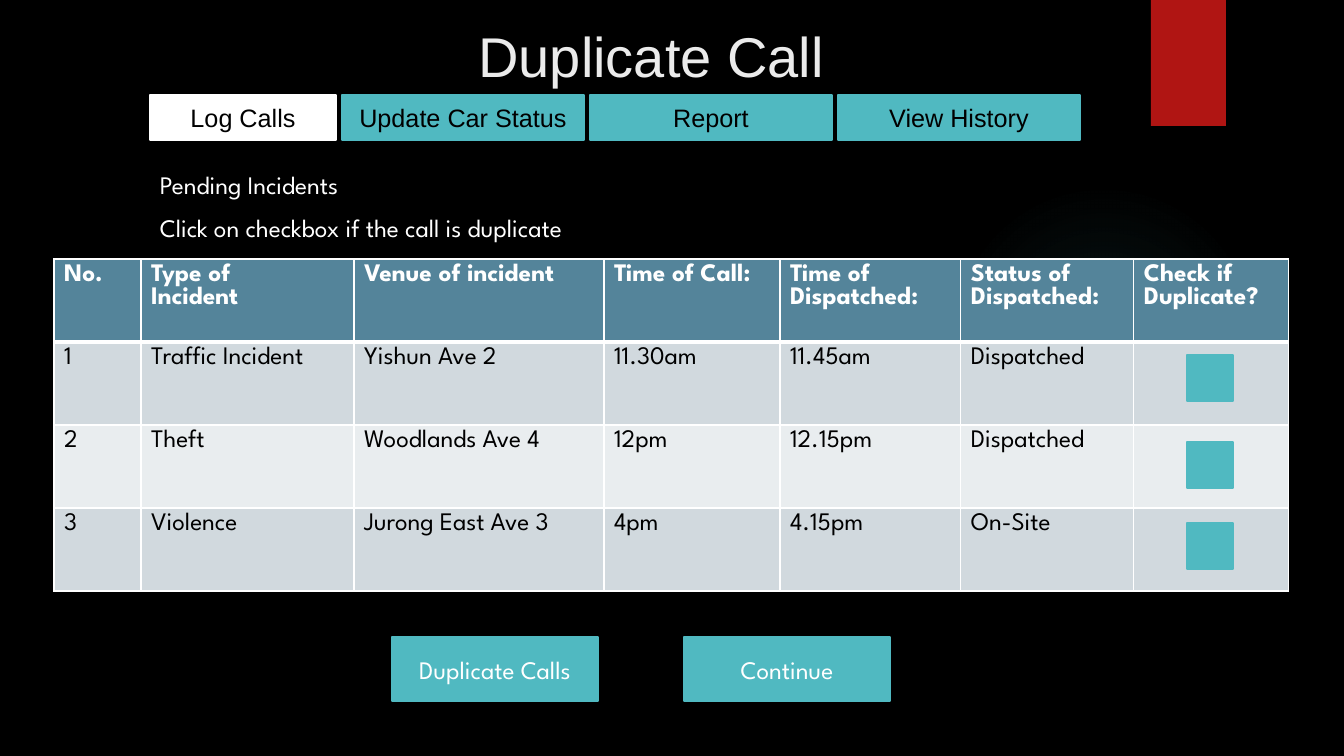
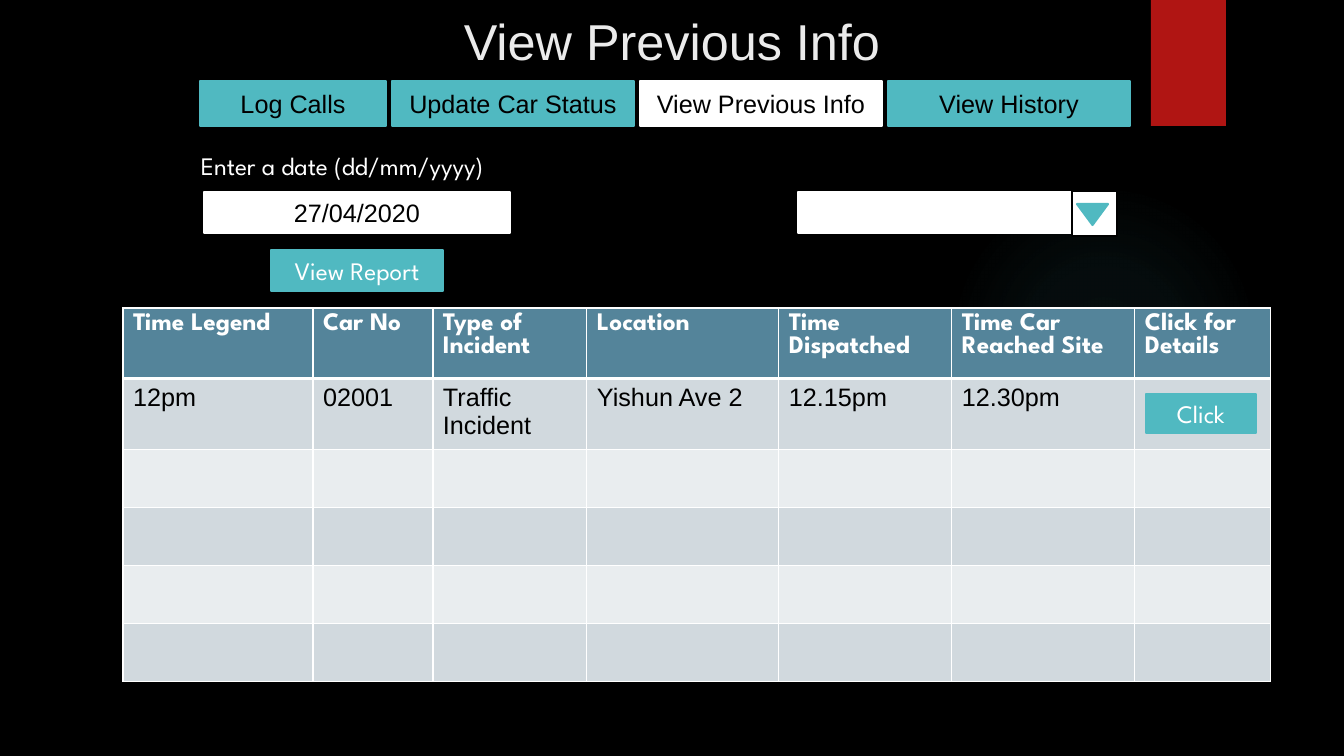
from dataclasses import dataclass
from itertools import accumulate

from lxml.etree import SubElement
from pptx import Presentation
from pptx.dml.color import RGBColor
from pptx.enum.shapes import MSO_SHAPE as Preset
from pptx.enum.text import MSO_ANCHOR as Anchor, PP_ALIGN as Align
from pptx.oxml import parse_xml
from pptx.oxml.ns import nsdecls, qn
from pptx.util import Emu, Pt

WIDTH, HEIGHT = 1344, 756
SCALE = 12192000 / WIDTH


@dataclass(frozen=True)
class Theme:
    background: str = "000000"
    dark: str = "000000"
    light: str = "FFFFFF"
    title: str = "EBEBEB"
    accent: str = "50B9C1"
    ribbon: str = "B01513"
    header: str = "54849A"
    bands: tuple = ("D1D9DE", "E9EDEF")
    plain_font: str = "Arial"
    display_font: str = "League Spartan"
    body_size: int = 18
    outline: float = 1.5
    grid: int = 1
    header_rule: int = 3


THEME = Theme()


def px(length):
    return Emu(round(length * SCALE))


def color(value):
    return RGBColor.from_string(value)


def write(frame, text, font=THEME.display_font, size=THEME.body_size,
          ink=THEME.light, bold=False, align=Align.LEFT):
    """Fill a text frame, one paragraph for each line of text."""
    frame.word_wrap = True
    for index, line in enumerate(text.split("\n")):
        paragraph = frame.add_paragraph() if index else frame.paragraphs[0]
        paragraph.alignment = align
        run = paragraph.add_run()
        run.text = line
        run.font.name = font
        run.font.size = Pt(size)
        run.font.bold = bold
        run.font.color.rgb = color(ink)


class Deck:
    def __init__(self, theme):
        self.theme = theme
        self.presentation = Presentation()
        self.presentation.slide_width = px(WIDTH)
        self.presentation.slide_height = px(HEIGHT)
        self.slide = None

    # Shared frame of every slide
    def new_slide(self, title, box, size):
        layout = self.presentation.slide_layouts[6]
        self.slide = self.presentation.slides.add_slide(layout)
        fill = self.slide.background.fill
        fill.solid()
        fill.fore_color.rgb = color(self.theme.background)
        self.glow(949, 184, 310)
        self.box(1151, 0, 75, 126, fill=self.theme.ribbon, line=None)
        self.label(title, *box, anchor=Anchor.MIDDLE, align=Align.CENTER,
                   font=self.theme.plain_font, size=size, ink=self.theme.title)

    def glow(self, left, top, size):
        shape = self.box(left, top, size, size, preset=Preset.OVAL, line=None)
        properties = shape._element.spPr
        stops = "".join(
            f'<a:gs pos="{place * 1000}"><a:srgbClr val="{self.theme.accent}">'
            f'<a:alpha val="{alpha * 1000}"/></a:srgbClr></a:gs>'
            for place, alpha in ((0, 7), (36, 6), (69, 0)))
        gradient = parse_xml(
            f'<a:gradFill {nsdecls("a")}><a:gsLst>{stops}</a:gsLst>'
            '<a:path path="circle"><a:fillToRect l="50000" t="50000" '
            'r="50000" b="50000"/></a:path></a:gradFill>')
        properties.replace(properties.find(qn("a:solidFill")), gradient)

    # Single elements
    def box(self, left, top, width, height, text="", preset=Preset.RECTANGLE,
            fill=THEME.accent, line=THEME.accent, **text_format):
        shape = self.slide.shapes.add_shape(
            preset, px(left), px(top), px(width), px(height))
        shape.shadow.inherit = False
        shape.fill.solid()
        shape.fill.fore_color.rgb = color(fill)
        if line:
            shape.line.color.rgb = color(line)
            shape.line.width = Pt(self.theme.outline)
        else:
            shape.line.fill.background()
        if text:
            shape.text_frame.vertical_anchor = Anchor.MIDDLE
            write(shape.text_frame, text, align=Align.CENTER, **text_format)
        return shape

    def field(self, left, top, width, height, text="", fill=THEME.light):
        self.box(left, top, width, height, text, fill=fill, line=fill,
                 font=self.theme.plain_font, ink=self.theme.dark)

    def label(self, text, left, top, width, height, anchor=Anchor.TOP,
              **text_format):
        frame = self.slide.shapes.add_textbox(
            px(left), px(top), px(width), px(height)).text_frame
        frame.vertical_anchor = anchor
        write(frame, text, **text_format)

    def tabs(self, left, top, names, active):
        widths = [186, 242, 242, 242]
        gap = 6
        starts = accumulate((width + gap for width in widths), initial=left)
        for name, start, width in zip(names, starts, widths):
            fill = self.theme.light if name == active else self.theme.accent
            self.field(start, top, width, 45, name, fill)

    # Tables
    def borders(self, cell, top, bottom):
        properties = cell._tc.get_or_add_tcPr()
        grid = self.theme.grid
        for side, width in zip("LRTB", (grid, grid, top, bottom)):
            line = SubElement(properties, qn(f"a:ln{side}"), w=str(Pt(width)))
            fill = SubElement(line, qn("a:solidFill"))
            SubElement(fill, qn("a:srgbClr"), val=self.theme.light)

    def table(self, left, top, widths, heights, rows, body_font):
        theme = self.theme
        table = self.slide.shapes.add_table(
            len(heights), len(widths), px(left), px(top),
            px(sum(widths)), px(sum(heights))).table
        for column, width in zip(table.columns, widths):
            column.width = px(width)
        for index, height in enumerate(heights):
            table.rows[index].height = px(height)
            is_header = index == 0
            texts = rows[index] if index < len(rows) else []
            for number in range(len(widths)):
                cell = table.cell(index, number)
                self.borders(cell,
                             theme.header_rule if index == 1 else theme.grid,
                             theme.header_rule if is_header else theme.grid)
                cell.fill.solid()
                cell.fill.fore_color.rgb = color(
                    theme.header if is_header else theme.bands[(index - 1) % 2])
                if number < len(texts):
                    write(cell.text_frame, texts[number], bold=is_header,
                          font=theme.display_font if is_header else body_font,
                          ink=theme.light if is_header else theme.dark)


deck = Deck(THEME)

# Slide 1: duplicate call
deck.new_slide("Duplicate Call", (408, 12, 486, 87), size=40)
deck.tabs(150, 95, ["Log Calls", "Update Car Status", "Report",
                    "View History"], active="Log Calls")
deck.label("Pending Incidents", 150, 164, 242, 40)
deck.label("Click on checkbox if the call is duplicate", 150, 207, 522, 40)
deck.table(
    54, 259, [87, 213, 250, 176, 181, 173, 155], [83] * 4,
    [["No.", "Type of\nIncident", "Venue of incident", "Time of Call:",
      "Time of Dispatched:", "Status of Dispatched:", "Check if Duplicate?"],
     ["1", "Traffic Incident", "Yishun Ave 2", "11.30am", "11.45am",
      "Dispatched"],
     ["2", "Theft", "Woodlands Ave 4", "12pm", "12.15pm", "Dispatched"],
     ["3", "Violence", "Jurong East Ave 3", "4pm", "4.15pm", "On-Site"]],
    body_font=THEME.display_font)
for checkbox_top in (355, 442, 523):
    deck.box(1187, checkbox_top, 46, 46)
for button_left, caption in ((392, "Duplicate Calls"), (684, "Continue")):
    deck.box(button_left, 637, 206, 64, caption)

# Slide 2: previous info
deck.new_slide("View Previous Info", (392, 0, 560, 80), size=36)
deck.tabs(200, 81, ["Log Calls", "Update Car Status", "View Previous Info",
                    "View History"], active="View Previous Info")
deck.label("Enter a date (dd/mm/yyyy)", 191, 145, 374, 40)
deck.field(204, 192, 306, 41, "27/04/2020")
deck.box(271, 250, 172, 41, "View Report")

# Drop-down list
deck.field(798, 192, 306, 41)
deck.box(1072, 191, 45, 45, fill=THEME.light, line=THEME.dark)
arrow = deck.box(1077, 204, 31, 21, preset=Preset.ISOSCELES_TRIANGLE)
arrow.rotation = 180

deck.table(
    123, 308, [190, 120, 154, 192, 173, 183, 136], [70, 71] + [58] * 4,
    [["Time Legend", "Car No", "Type of Incident", "Location",
      "Time Dispatched", "Time Car Reached Site", "Click for Details"],
     ["12pm", "02001", "Traffic Incident", "Yishun Ave 2", "12.15pm",
      "12.30pm"]],
    body_font=THEME.plain_font)
deck.box(1146, 394, 110, 39, "Click")

deck.presentation.save("out.pptx")
